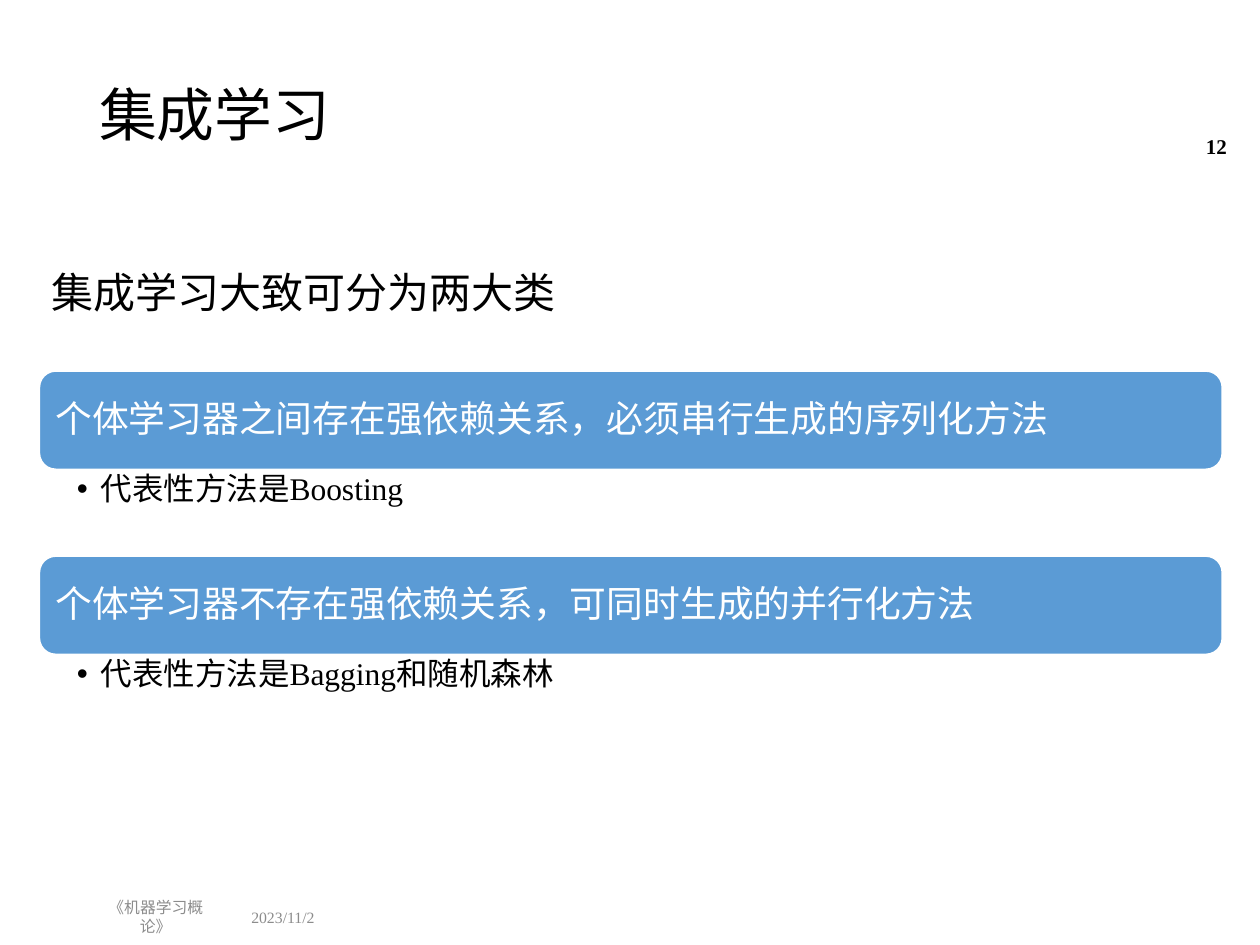
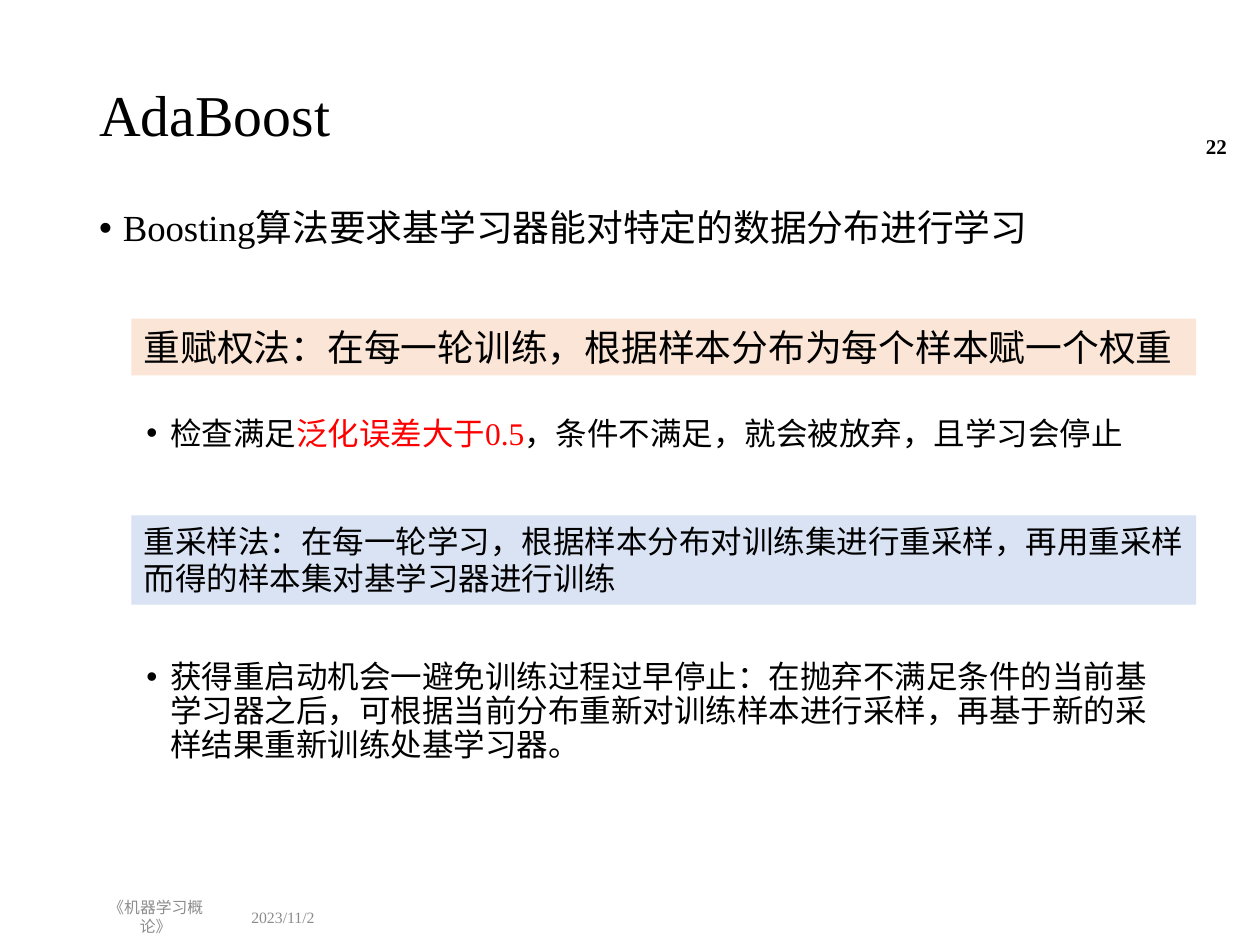
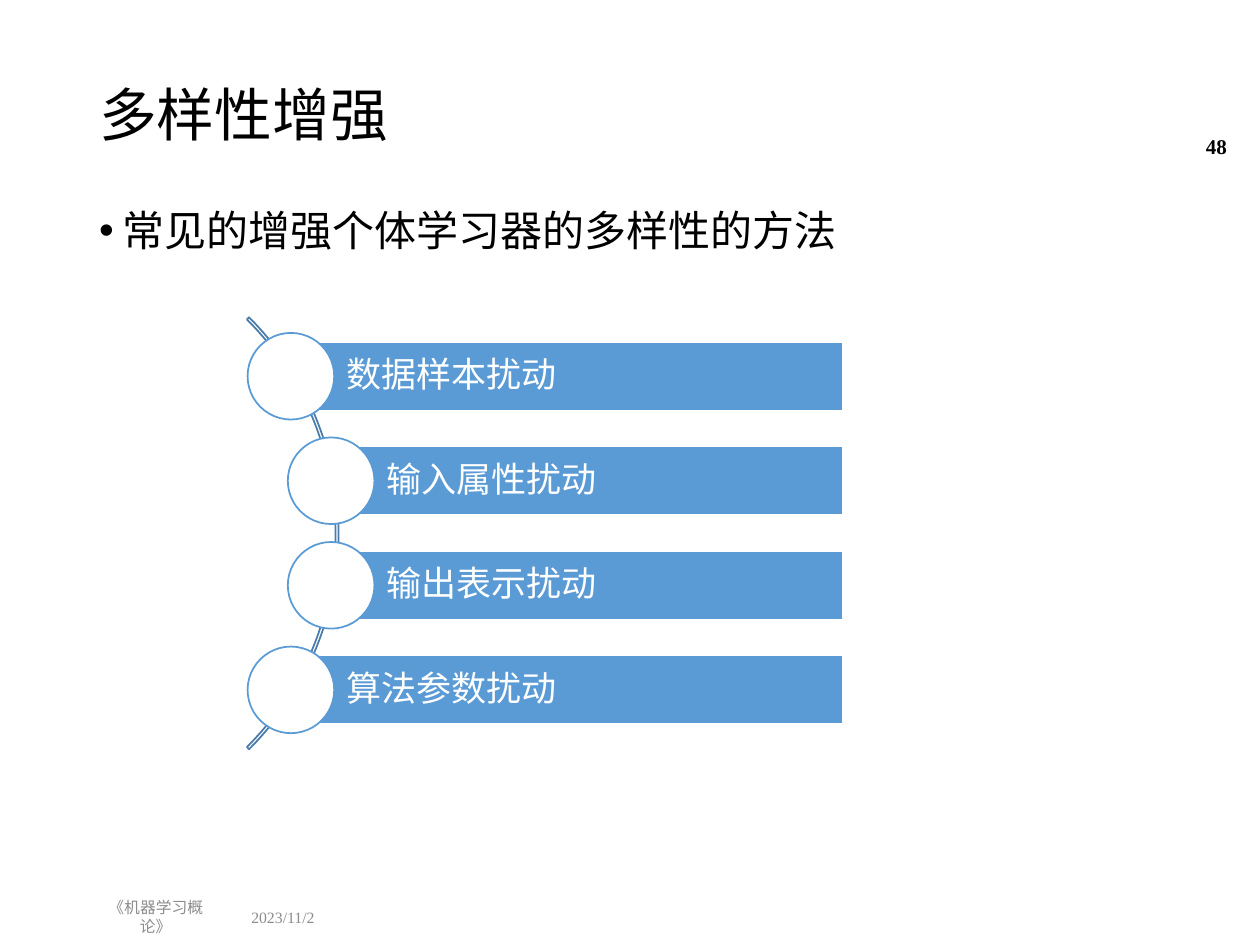
"""Build three lecture slides on ensemble learning."""
import dataclasses
import typing

import lxml.etree
import pptx
import pptx.dml.color
import pptx.enum.lang
import pptx.enum.shapes
import pptx.enum.text
import pptx.oxml.ns
import pptx.util

Pt = pptx.util.Pt
Kind = pptx.enum.shapes.MSO_SHAPE
Align = pptx.enum.text.PP_ALIGN
Anchor = pptx.enum.text.MSO_ANCHOR
Size = pptx.enum.text.MSO_AUTO_SIZE

COLORS = {
    "ink": "000000",
    "white": "FFFFFF",
    "gray": "8C8C8C",
    "red": "FF0000",
    "blue": "5B9BD5",
    "arc": "497CAB",
    "peach": "FBE5D6",
    "pale": "DAE3F3",
}
SERIF = "Times New Roman"
SANS = "Noto Sans CJK SC"


@dataclasses.dataclass(frozen=True)
class Box:
    left: float
    top: float
    width: float
    height: float


@dataclasses.dataclass(frozen=True)
class Run:
    text: str
    color: str = "ink"


@dataclasses.dataclass(frozen=True)
class Para:
    runs: tuple[Run, ...]
    size: float
    before: float = 0
    line: float = 1
    margin: float = 0
    bullet: bool = False
    align: typing.Any = Align.LEFT
    bold: bool = False
    font: str = SERIF


@dataclasses.dataclass(frozen=True)
class Frame:
    anchor: typing.Any = Anchor.TOP
    insets: tuple[float, float, float, float] = (7.2, 3.6, 7.2, 3.6)
    wrap: bool = True


TITLE = Box(49.5, 28.75, 621, 77)
BODY = Box(49.5, 116.5, 621, 388)
DATE = Box(136.5, 513.5, 65.5, 20.75)
COURSE = Box(49.5, 513.5, 79, 20.75)
NUMBER = Box(658.75, 69.25, 49.5, 28.5)
MIDDLE = Frame(Anchor.MIDDLE)
HANG = 13.5


def tint(name: str) -> pptx.dml.color.RGBColor:
    return pptx.dml.color.RGBColor.from_string(COLORS[name])


def line(text: str, size: float, color: str = "ink", **style) -> Para:
    return Para((Run(text, color),), size, **style)


def place(shape, box: Box) -> None:
    shape.left, shape.top = Pt(box.left), Pt(box.top)
    shape.width, shape.height = Pt(box.width), Pt(box.height)


def mark(para, margin: float) -> None:
    props = para._p.get_or_add_pPr()
    props.set("marL", str(Pt(margin)))
    props.set("indent", str(-Pt(HANG)))
    font = lxml.etree.SubElement(props, pptx.oxml.ns.qn("a:buFont"))
    font.set("typeface", "Arial")
    dot = lxml.etree.SubElement(props, pptx.oxml.ns.qn("a:buChar"))
    dot.set("char", "•")


def write(shape, paras: typing.Sequence[Para], frame: Frame = Frame()) -> None:
    text = shape.text_frame
    text.auto_size = Size.NONE
    text.word_wrap = frame.wrap
    text.vertical_anchor = frame.anchor
    (text.margin_left, text.margin_top,
     text.margin_right, text.margin_bottom) = map(Pt, frame.insets)
    for index, item in enumerate(paras):
        para = text.paragraphs[0] if index == 0 else text.add_paragraph()
        if item.bullet:
            mark(para, item.margin)
        para.alignment = item.align
        para.line_spacing = item.line
        para.space_before = Pt(item.before)
        for part in item.runs:
            run = para.add_run()
            run.text = part.text
            run.font.name = item.font
            run.font.size = Pt(item.size)
            run.font.bold = item.bold
            run.font.color.rgb = tint(part.color)
            run.font.language_id = pptx.enum.lang.MSO_LANGUAGE_ID.SIMPLIFIED_CHINESE


def label(slide, box: Box, para: Para, frame: Frame = Frame()) -> None:
    shape = slide.shapes.add_textbox(0, 0, 0, 0)
    place(shape, box)
    write(shape, [para], frame)


def draw(slide, kind, box: Box, fill: str | None, edge: str | None = None):
    shape = slide.shapes.add_shape(kind, 0, 0, 0, 0)
    place(shape, box)
    shape.shadow.inherit = False
    if fill:
        shape.fill.solid()
        shape.fill.fore_color.rgb = tint(fill)
    else:
        shape.fill.background()
    if edge:
        shape.line.color.rgb = tint(edge)
        shape.line.width = Pt(1)
    else:
        shape.line.fill.background()
    return shape


def start(deck, title: str, number: str, body: typing.Sequence[Para] = ()):
    slide = deck.slides.add_slide(deck.slide_layouts[1 if body else 5])
    place(slide.shapes.title, TITLE)
    write(slide.shapes.title, [line(title, 33, line=0.9)], MIDDLE)
    if body:
        place(slide.placeholders[1], BODY)
        write(slide.placeholders[1], body)
    label(slide, DATE, line("2023/11/2", 9, "gray"), MIDDLE)
    label(slide, COURSE, line("《机器学习概论》", 9, "gray", align=Align.CENTER), MIDDLE)
    label(slide, NUMBER, line(number, 12, align=Align.RIGHT, bold=True), MIDDLE)
    return slide


def types(deck) -> None:
    slide = start(deck, "集成学习", "12")
    label(slide, Box(22.5, 148.5, 305, 36),
          line("集成学习大致可分为两大类", 24), Frame(wrap=False))
    groups = (
        ("个体学习器之间存在强依赖关系，必须串行生成的序列化方法", "代表性方法是Boosting"),
        ("个体学习器不存在强依赖关系，可同时生成的并行化方法", "代表性方法是Bagging和随机森林"),
    )
    high, note = 56.25, 49.5
    for row, (head, text) in enumerate(groups):
        top = 212 + row * (high + note)
        bar = draw(slide, Kind.ROUNDED_RECTANGLE, Box(22.5, top, 676, high), "blue", "white")
        write(bar, [line(head, 21, "white", line=0.9)],
              Frame(Anchor.MIDDLE, (6.5, 6.5, 6.5, 6.5)))
        label(slide, Box(22.5, top + high, 676, note),
              line(text, 18, line=0.9, margin=HANG, bullet=True),
              Frame(insets=(21.5, 2.25, 10, 2.25)))


def boost(deck) -> None:
    check = (Run("检查满足"), Run("泛化误差大于0.5", "red"),
             Run("，条件不满足，就会被放弃，且学习会停止"))
    restart = ("获得重启动机会一避免训练过程过早停止：在抛弃不满足条件的当前基学习器之后，"
               "可根据当前分布重新对训练样本进行采样，再基于新的采样结果重新训练处基学习器。")
    slide = start(deck, "AdaBoost", "22", [
        line("Boosting算法要求基学习器能对特定的数据分布进行学习", 21,
             line=0.9, margin=HANG, bullet=True),
        Para(check, 18, before=96, line=0.9, margin=40.5, bullet=True),
        line(restart, 18, before=119.5, line=0.9, margin=40.5, bullet=True),
    ])
    bands = (
        (182, 32.5, "peach", 21, "重赋权法：在每一轮训练，根据样本分布为每个样本赋一个权重"),
        (294.5, 51, "pale", 18, "重采样法：在每一轮学习，根据样本分布对训练集进行重采样，"
         "再用重采样而得的样本集对基学习器进行训练"),
    )
    for top, high, fill, size, text in bands:
        band = draw(slide, Kind.RECTANGLE, Box(75, top, 608.5, high), fill)
        write(band, [line(text, size)])


def vary(deck) -> None:
    slide = start(deck, "多样性增强", "48", [
        line("常见的增强个体学习器的多样性的方法", 24,
             line=0.9, margin=HANG, bullet=True, font=SANS)])
    arc = draw(slide, Kind.BLOCK_ARC, Box(-155.5, 130.25, 349, 349), None, "arc")
    for index, value in enumerate((189, 27, 0.005)):
        arc.adjustments[index] = value
    right, high, disc = 481.5, 39.25, 49.5
    names = ("数据样本扰动", "输入属性扰动", "输出表示扰动", "算法参数扰动")
    for row, name in enumerate(names):
        left = 166.25 if row in (0, len(names) - 1) else 189.25
        mid = 215 + row * 59.75
        bar = draw(slide, Kind.RECTANGLE,
                   Box(left, mid - high / 2, right - left, high), "blue", "white")
        write(bar, [line(name, 20, "white", line=0.9)],
              Frame(Anchor.MIDDLE, (31.5, 4.5, 4.5, 4.5)))
        draw(slide, Kind.OVAL, Box(left - disc / 2, mid - disc / 2, disc, disc),
             "white", "blue")


def main() -> None:
    deck = pptx.Presentation()
    deck.slide_width, deck.slide_height = Pt(720), Pt(540)
    types(deck)
    boost(deck)
    vary(deck)
    deck.save("out.pptx")


if __name__ == "__main__":
    main()
